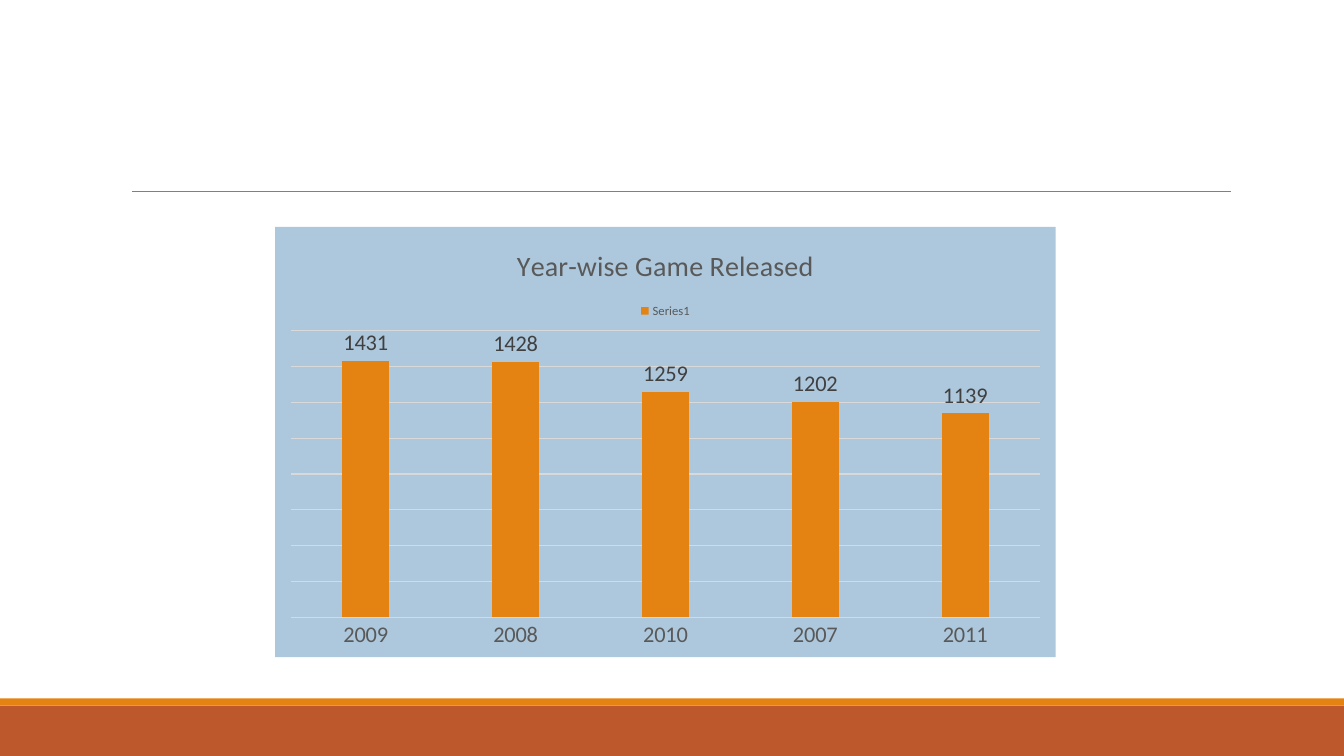
from lxml import etree
from pptx import Presentation
from pptx.chart.data import CategoryChartData
from pptx.dml.color import RGBColor
from pptx.enum.chart import XL_CHART_TYPE, XL_LABEL_POSITION, XL_LEGEND_POSITION, XL_TICK_MARK
from pptx.enum.shapes import MSO_CONNECTOR, MSO_SHAPE
from pptx.oxml import parse_xml
from pptx.oxml.ns import nsdecls, qn
from pptx.util import Inches, Pt

COLUMN = XL_CHART_TYPE.COLUMN_CLUSTERED
OUTSIDE_END = XL_LABEL_POSITION.OUTSIDE_END
LEGEND_TOP = XL_LEGEND_POSITION.TOP
NO_TICK = XL_TICK_MARK.NONE
STRAIGHT = MSO_CONNECTOR.STRAIGHT
RECTANGLE = MSO_SHAPE.RECTANGLE

SLIDE_W, SLIDE_H = 13.33, 7.5


def rgb(value):
    return RGBColor.from_string(value)


class SlideBuilder:
    FONT = "Calibri"
    ORANGE = "E48312"
    RUST = "BD582C"
    RULE = "808080"
    GRID = "D9D9D9"
    PANEL = "ADC8DD"
    TEXT = "595959"
    LABEL = "404040"

    def __init__(self, slide):
        self.s = slide

    def style_font(self, font, size, color):
        font.name = self.FONT
        font.size = Pt(size)
        font.bold = False
        font.color.rgb = rgb(color)

    def style_line(self, line, color, width):
        line.color.rgb = rgb(color)
        line.width = Pt(width)

    def band(self, top, height, color):
        sp = self.s.shapes.add_shape(
            RECTANGLE, 0, Inches(top), Inches(SLIDE_W), Inches(height))
        sp.shadow.inherit = False
        sp.fill.solid()
        sp.fill.fore_color.rgb = rgb(color)
        sp.line.fill.background()

    def rule(self, left, right, y):
        line = self.s.shapes.add_connector(
            STRAIGHT, Inches(left), Inches(y), Inches(right), Inches(y))
        self.style_line(line.line, self.RULE, 0.5)
        etree.SubElement(line._element.spPr, qn("a:effectLst"))

    def column_chart(self, left, top, width, height, title, series_name, values):
        data = CategoryChartData()
        data.categories = list(values)
        data.add_series(series_name, list(values.values()))
        chart = self.s.shapes.add_chart(
            COLUMN, Inches(left), Inches(top), Inches(width), Inches(height), data).chart
        self.style_font(chart.font, 10, "000000")

        # Chart background
        area = parse_xml(
            f'<c:spPr {nsdecls("c", "a")}><a:solidFill><a:srgbClr val="{self.PANEL}"/>'
            '</a:solidFill><a:ln><a:noFill/></a:ln></c:spPr>')
        chart._chartSpace.find(qn("c:chart")).addnext(area)

        # Title and legend
        chart.has_title = True
        chart.chart_title.include_in_layout = False
        p = chart.chart_title.text_frame.paragraphs[0]
        p.text = title
        self.style_font(p.font, 20, self.TEXT)
        chart.has_legend = True
        chart.legend.position = LEGEND_TOP
        chart.legend.include_in_layout = False
        self.style_font(chart.legend.font, 9, self.TEXT)

        # Axes
        years = chart.category_axis
        years.major_tick_mark = NO_TICK
        self.style_font(years.tick_labels.font, 16, self.TEXT)
        self.style_line(years.format.line, self.GRID, 0.75)
        counts = chart.value_axis
        counts.minimum_scale, counts.maximum_scale, counts.major_unit = 0, 1600, 200
        counts.has_major_gridlines = True
        self.style_line(counts.major_gridlines.format.line, self.GRID, 0.75)
        counts.visible = False

        # Columns and value labels
        plot = chart.plots[0]
        plot.gap_width, plot.overlap = 219, -27
        plot.vary_by_categories = False
        series = plot.series[0]
        series.format.fill.solid()
        series.format.fill.fore_color.rgb = rgb(self.ORANGE)
        labels = series.data_labels
        labels.show_value = True
        labels.position = OUTSIDE_END
        self.style_font(labels.font, 16, self.LABEL)


def main():
    prs = Presentation()
    prs.slide_width, prs.slide_height = Inches(SLIDE_W), Inches(SLIDE_H)
    slide = SlideBuilder(prs.slides.add_slide(prs.slide_layouts[6]))

    # Footer bands and header rule
    slide.band(7, 0.5, slide.RUST)
    slide.band(6.93, 0.07, slide.ORANGE)
    slide.rule(1.31, 12.21, 1.9)

    # Games released per year
    slide.column_chart(
        2.73, 2.25, 7.74, 4.27, "Year-wise Game Released", "Series1",
        {"2009": 1431, "2008": 1428, "2010": 1259, "2007": 1202, "2011": 1139})

    prs.save("out.pptx")


if __name__ == "__main__":
    main()
